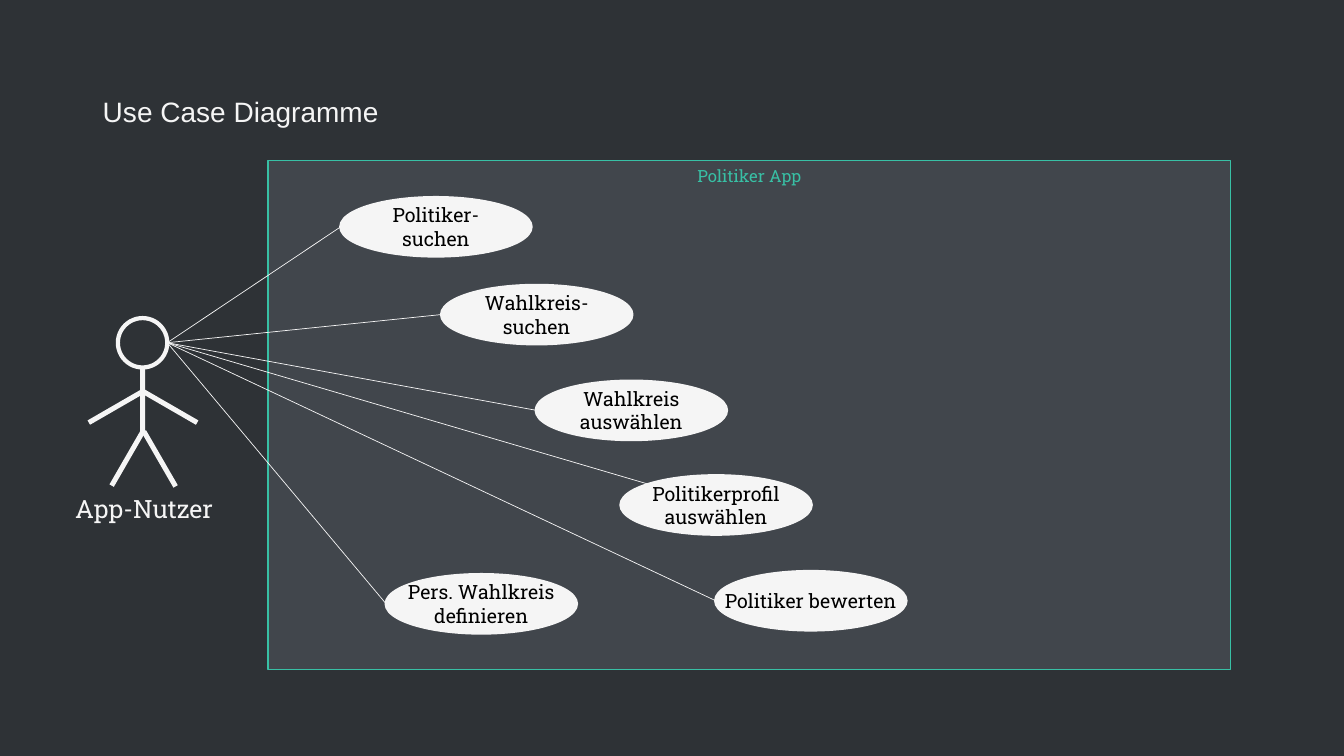
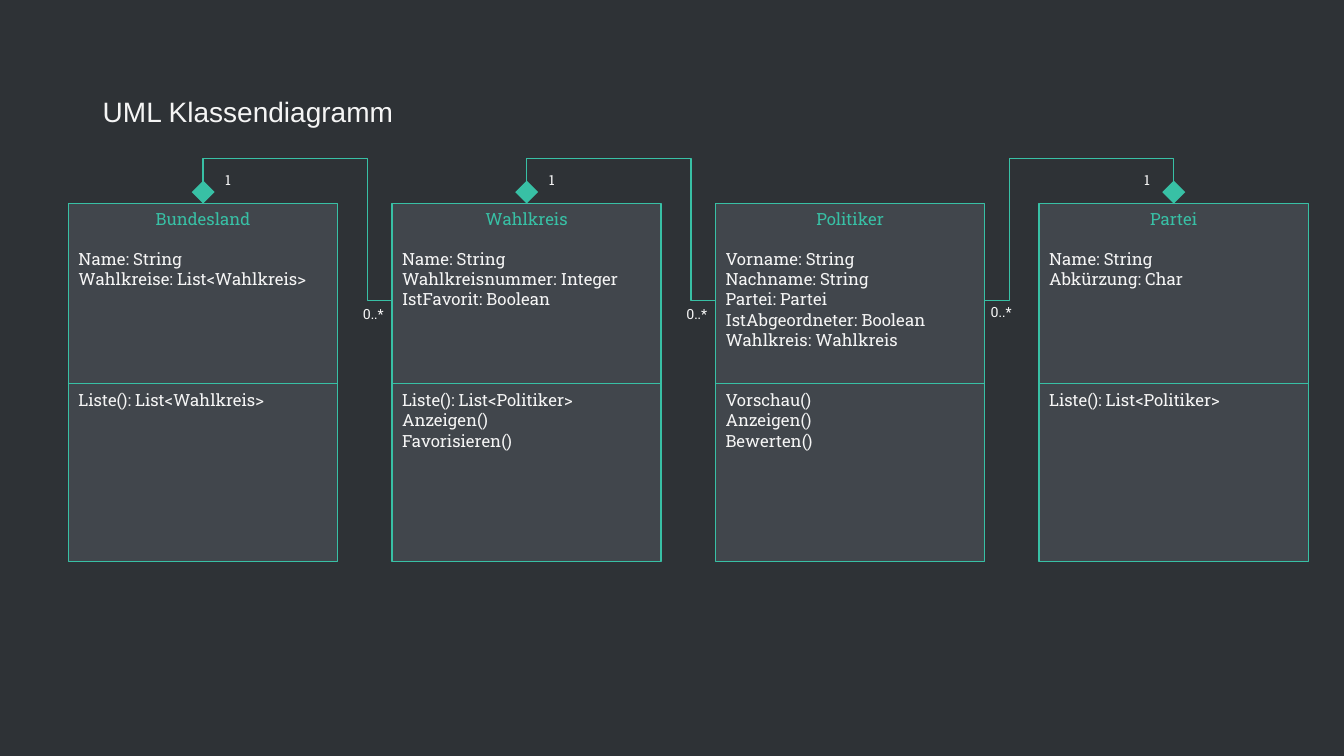
"""Build the use case and class diagram slides of the Politiker app."""
from dataclasses import dataclass

from lxml.etree import SubElement
from pptx import Presentation
from pptx.dml.color import RGBColor
from pptx.enum.shapes import MSO_CONNECTOR, MSO_SHAPE
from pptx.enum.text import MSO_ANCHOR, PP_ALIGN
from pptx.oxml.ns import qn
from pptx.presentation import Presentation as Deck
from pptx.shapes.autoshape import Shape
from pptx.shapes.connector import Connector
from pptx.slide import Slide
from pptx.text.text import TextFrame
from pptx.util import Pt

DARK = RGBColor(0x2E, 0x32, 0x36)
PANEL = RGBColor(0x41, 0x46, 0x4C)
TEAL = RGBColor(0x38, 0xC0, 0xA5)
LIGHT = RGBColor(0xF5, 0xF5, 0xF5)
BLACK = RGBColor(0, 0, 0)
TITLE_FONT = "Arial"
BODY_FONT = "Roboto Slab"

CASE_W, CASE_H = 136, 41.8
HAND = (119.5, 244.8)
CLASS_W, CLASS_H = 192.2, 255.6
CLASS_X, CLASS_Y, CLASS_STEP = 49, 145.4, 231.1
DIVIDER_Y = 273.6
LINE_H, ATTRIBUTE_ROWS = 14.4, 7
LINK_Y = 214.6
DIAMOND = 16.4


@dataclass(frozen=True)
class UseCase:
    """A use case ellipse and the relative point its line meets."""

    x: float
    y: float
    lines: tuple[str, ...]
    site: tuple[float, float] = (0, 0.5)


@dataclass(frozen=True)
class Limb:
    """A bar of the stick figure, placed by its centre."""

    cx: float
    cy: float
    angle: float


@dataclass(frozen=True)
class UmlClass:
    """A class box with its attributes and methods."""

    name: str
    attributes: tuple[str, ...]
    methods: tuple[str, ...]


@dataclass(frozen=True)
class Link:
    """A composition from a member class to its owner."""

    member: int
    owner: int


CASES = (
    UseCase(243.4, 141.1, ("Politiker-", "suchen")),
    UseCase(315.4, 203.8, ("Wahlkreis-", "suchen")),
    UseCase(383, 272.2, ("Wahlkreis", "auswählen")),
    UseCase(443.5, 339.8, ("Politikerprofil", "auswählen"), (0.15, 0.15)),
    UseCase(511.2, 408.2, ("Politiker bewerten",)),
    UseCase(275.8, 410.4, ("Pers. Wahlkreis", "definieren")),
)
LIMBS = (
    Limb(101.9, 285.5, 0),
    Limb(91.1, 327.2, 30),
    Limb(114.1, 327.8, 330),
    Limb(83.1, 290.5, 60),
    Limb(121.2, 290.5, 300),
)
CLASSES = (
    UmlClass("Bundesland", ("Name: String", "Wahlkreise: List<Wahlkreis>"),
             ("Liste(): List<Wahlkreis>",)),
    UmlClass("Wahlkreis",
             ("Name: String", "Wahlkreisnummer: Integer", "IstFavorit: Boolean"),
             ("Liste(): List<Politiker>", "Anzeigen()", "Favorisieren()")),
    UmlClass("Politiker",
             ("Vorname: String", "Nachname: String", "Partei: Partei",
              "IstAbgeordneter: Boolean", "Wahlkreis: Wahlkreis"),
             ("Vorschau()", "Anzeigen()", "Bewerten()")),
    UmlClass("Partei", ("Name: String", "Abkürzung: Char"),
             ("Liste(): List<Politiker>",)),
)
LINKS = (Link(1, 0), Link(2, 1), Link(2, 3))


def write(tf: TextFrame, lines: tuple[str, ...], size: float, color: RGBColor,
          align: PP_ALIGN = PP_ALIGN.LEFT, font: str = BODY_FONT,
          gap: float = 0) -> None:
    """Append lines to a frame, with a gap above the first one."""
    for i, line in enumerate(lines):
        p = tf.paragraphs[0] if not tf.text else tf.add_paragraph()
        p.text = line
        p.alignment = align
        p.space_before = Pt(0 if i else gap)
        p.font.name, p.font.size = font, Pt(size)
        p.font.color.rgb = color


def add_slide(prs: Deck, title: str) -> Slide:
    """Add a slide with the shared title style."""
    s = prs.slides.add_slide(prs.slide_layouts[5])
    sp = s.shapes.title
    sp.left, sp.top, sp.width, sp.height = Pt(66.2), Pt(28.8), Pt(828), Pt(104.4)
    sp.text_frame.vertical_anchor = MSO_ANCHOR.MIDDLE
    write(sp.text_frame, (title,), 20, LIGHT, font=TITLE_FONT)
    sp.text_frame.paragraphs[0].line_spacing = 0.9
    return s


def add_shape(shapes, kind: MSO_SHAPE, x: float, y: float, w: float, h: float,
              fill: RGBColor | None = None, line: RGBColor | None = None,
              weight: float = 1) -> Shape:
    """Add a flat preset shape to a slide or group."""
    sp = shapes.add_shape(kind, Pt(x), Pt(y), Pt(w), Pt(h))
    sp.shadow.inherit = False
    if fill is None:
        sp.fill.background()
    else:
        sp.fill.solid()
        sp.fill.fore_color.rgb = fill
    if line is None:
        sp.line.fill.background()
    else:
        sp.line.color.rgb, sp.line.width = line, Pt(weight)
    return sp


def add_panel(s: Slide, x: float, y: float, w: float, h: float,
              heading: str) -> TextFrame:
    """Add a framed panel with a centred heading."""
    tf = add_shape(s.shapes, MSO_SHAPE.RECTANGLE, x, y, w, h, PANEL, TEAL).text_frame
    tf.vertical_anchor = MSO_ANCHOR.TOP
    tf.word_wrap = True
    write(tf, (heading,), 12, TEAL, PP_ALIGN.CENTER)
    return tf


def add_line(s: Slide, start: tuple[float, float], end: tuple[float, float],
             color: RGBColor, weight: float,
             kind: MSO_CONNECTOR = MSO_CONNECTOR.STRAIGHT) -> Connector:
    """Add a connector without a shadow."""
    cxn = s.shapes.add_connector(kind, *(Pt(v) for v in (*start, *end)))
    cxn.line.color.rgb, cxn.line.width = color, Pt(weight)
    SubElement(cxn._element.spPr, qn("a:effectLst"))
    return cxn


def add_label(s: Slide, x: float, y: float, w: float, h: float, text: str,
              size: float, align: PP_ALIGN = PP_ALIGN.LEFT,
              anchor: MSO_ANCHOR = MSO_ANCHOR.TOP, wrap: bool = False) -> None:
    """Add a light text label."""
    tf = s.shapes.add_textbox(Pt(x), Pt(y), Pt(w), Pt(h)).text_frame
    tf.word_wrap = wrap
    tf.vertical_anchor = anchor
    write(tf, (text,), size, LIGHT, align)


def add_actor(s: Slide) -> None:
    """Draw the stick figure and its caption."""
    grp = s.shapes.add_group_shape()
    add_shape(grp.shapes, MSO_SHAPE.OVAL, 84.2, 227.2, 35.3, 35.3, line=LIGHT, weight=3)
    w, h = 3.6, 45.4
    for limb in LIMBS:
        sp = add_shape(grp.shapes, MSO_SHAPE.RECTANGLE, limb.cx - w / 2,
                       limb.cy - h / 2, w, h, LIGHT)
        sp.rotation = limb.angle
    add_label(s, 43.9, 342.7, 118, 41, "App-Nutzer", 18, PP_ALIGN.CENTER,
              MSO_ANCHOR.MIDDLE, True)


def add_case(s: Slide, case: UseCase) -> None:
    """Draw a use case and its line to the actor."""
    sp = add_shape(s.shapes, MSO_SHAPE.OVAL, case.x, case.y, CASE_W, CASE_H,
                   LIGHT, LIGHT, 2.25)
    tf = sp.text_frame
    tf.word_wrap = False
    tf.vertical_anchor = MSO_ANCHOR.MIDDLE
    write(tf, case.lines, 14, BLACK, PP_ALIGN.CENTER)
    fx, fy = case.site
    add_line(s, (case.x + fx * CASE_W, case.y + fy * CASE_H), HAND, LIGHT, 0.5)


def class_left(i: int) -> float:
    """Return the left edge of a class box."""
    return CLASS_X + i * CLASS_STEP


def link_ends(link: Link) -> tuple[float, float]:
    """Return the x of the member's edge and of the owner's centre."""
    edge = class_left(link.member) + (CLASS_W if link.owner > link.member else 0)
    return edge, class_left(link.owner) + CLASS_W / 2


def add_link(s: Slide, link: Link) -> None:
    """Draw the bent arrow of a composition."""
    start, end = link_ends(link)
    if end > start:
        ends = (start, LINK_Y), (end, CLASS_Y)
    else:
        ends = (end, CLASS_Y), (start, LINK_Y)
    cxn = add_line(s, *ends, TEAL, 1, MSO_CONNECTOR.ELBOW)
    spPr = cxn._element.spPr
    if end < start:
        spPr.find(qn("a:xfrm")).set("rot", "10800000")
    geom = spPr.find(qn("a:prstGeom"))
    geom.set("prst", "bentConnector4")
    av = geom.find(qn("a:avLst"))
    if av is None:
        av = SubElement(geom, qn("a:avLst"))
    for name, value in (("adj1", 13000), ("adj2", 146500)):
        SubElement(av, qn("a:gd"), name=name, fmla=f"val {value}")
    SubElement(spPr.find(qn("a:ln")), qn("a:tailEnd"), type="triangle")


def add_link_marks(s: Slide, link: Link) -> None:
    """Draw the diamond and multiplicities of a composition."""
    start, end = link_ends(link)
    rightward = end > start
    add_shape(s.shapes, MSO_SHAPE.DIAMOND, end - DIAMOND / 2, CLASS_Y - DIAMOND,
              DIAMOND, DIAMOND, TEAL)
    add_label(s, end + (-28.3 if rightward else 8.7), 119.3, 20.2, 19.4, "1", 10)
    add_label(s, start + (-2.8 if rightward else -28),
              LINK_Y - (1.5 if rightward else 0), 31, 19.4, "0..*", 10)


def add_class(s: Slide, i: int, uml: UmlClass) -> None:
    """Draw a class box with its two compartments."""
    x = class_left(i)
    tf = add_panel(s, x, CLASS_Y, CLASS_W, CLASS_H, uml.name)
    write(tf, uml.attributes, 12, LIGHT, gap=LINE_H)
    write(tf, uml.methods, 12, LIGHT,
          gap=LINE_H * (ATTRIBUTE_ROWS - len(uml.attributes)))
    add_line(s, (x, DIVIDER_Y), (x + CLASS_W, DIVIDER_Y), TEAL, 0.75)


def build_use_cases(prs: Deck) -> None:
    """Build the use case slide."""
    s = add_slide(prs, "Use Case Diagramme")
    add_panel(s, 191.5, 114.5, 687.6, 363.6, "Politiker App")
    add_actor(s)
    for case in CASES:
        add_case(s, case)


def build_classes(prs: Deck) -> None:
    """Build the class diagram slide."""
    s = add_slide(prs, "UML Klassendiagramm")
    for link in LINKS:
        add_link(s, link)
    for i, uml in enumerate(CLASSES):
        add_class(s, i, uml)
    for link in LINKS:
        add_link_marks(s, link)


def main() -> None:
    """Build and save the presentation."""
    prs = Presentation()
    prs.slide_width, prs.slide_height = Pt(960), Pt(540)
    bg = prs.slide_master.background.fill
    bg.solid()
    bg.fore_color.rgb = DARK
    build_use_cases(prs)
    build_classes(prs)
    prs.save("out.pptx")


if __name__ == "__main__":
    main()
